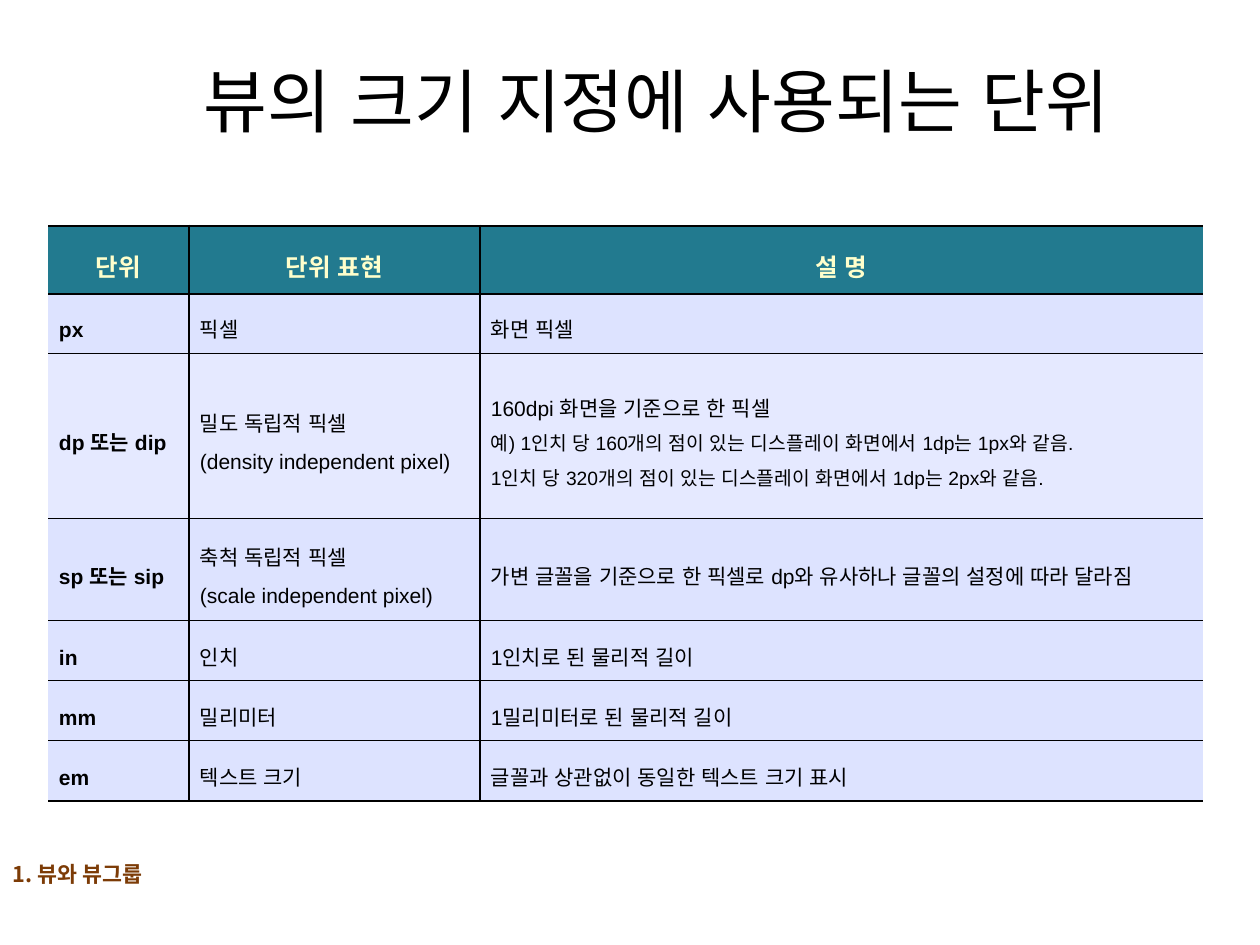
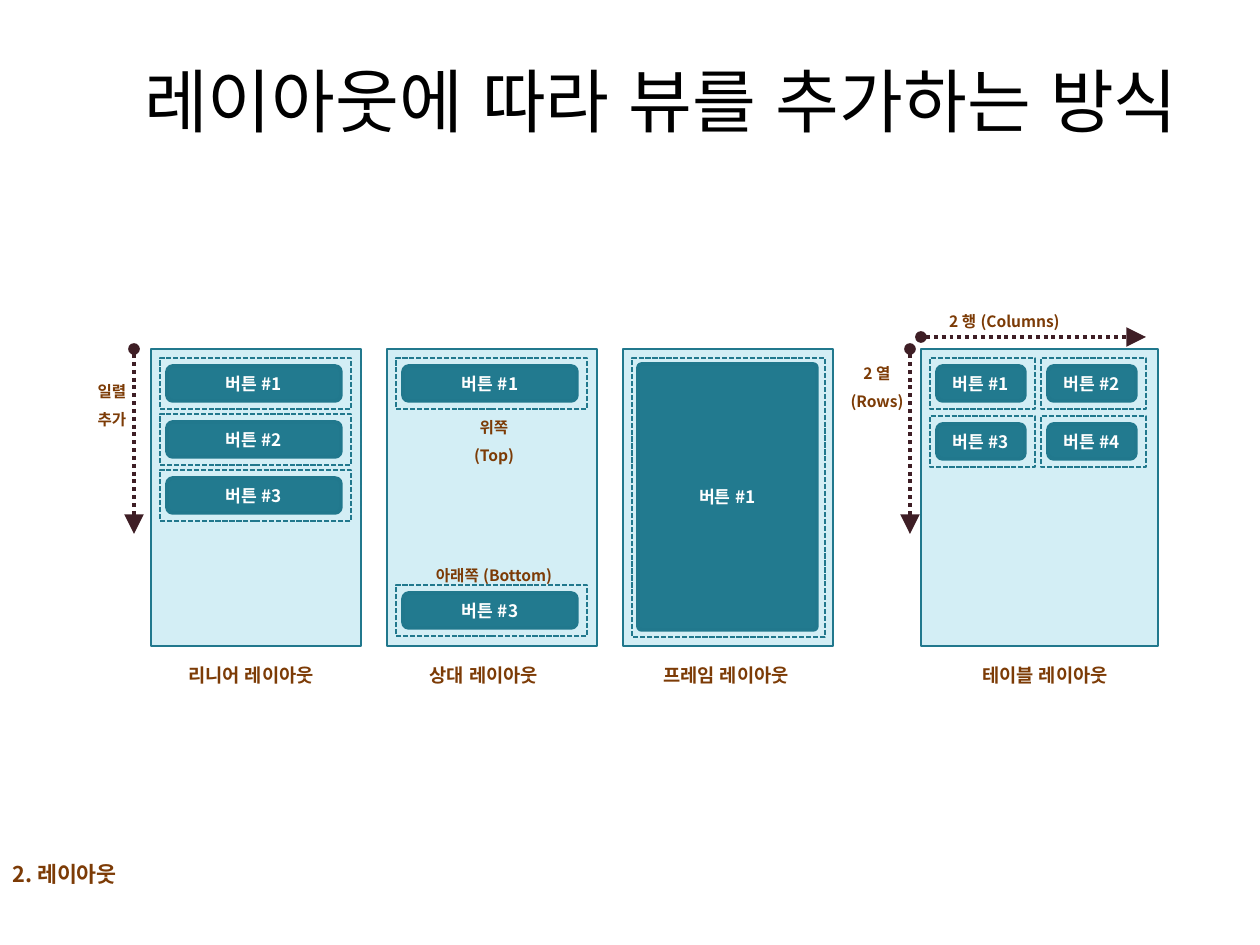
from lxml import etree
from pptx import Presentation
from pptx import util as u
from pptx.dml.color import RGBColor
from pptx.enum import dml, shapes, text
from pptx.oxml.ns import qn

PX = 7257  # EMU in one pixel, 126 pixels to the inch
rgb = RGBColor.from_string

SANS, LATIN = "Noto Sans CJK KR", "Arial"
BLACK, WHITE, BROWN = "000000", "FFFFFF", "7C3B06"
TEAL, EDGE, PALE, ARROW = "227A8F", "21788D", "D3EEF5", "3E1E25"
CREAM, LILAC, LIGHT_LILAC = "FFFFCC", "DDE3FF", "E5E9FF"
CENTER, JUSTIFY = text.PP_ALIGN.CENTER, text.PP_ALIGN.JUSTIFY


def write(frame, lines, sizes, color, bold=True, font=SANS, align=CENTER, spacing=None):
    """Fill a text frame, one paragraph a line; the last size serves the rest."""
    frame.word_wrap = True
    for i, line in enumerate(lines):
        para = frame.paragraphs[0] if i == 0 else frame.add_paragraph()
        para.alignment = align
        para.line_spacing = spacing
        span = para.add_run()
        span.text = line
        span.font.size = u.Pt(sizes[min(i, len(sizes) - 1)])
        span.font.bold = bold
        span.font.color.rgb = rgb(color)
        span.font.name = font
        # Arial sets the width of the spaces between Korean words
        etree.SubElement(span._r.get_or_add_rPr(), qn("a:ea"), typeface=LATIN)


def add_block(page, kind, area, fill, width):
    """Add a filled preset shape with a teal edge."""
    block = page.shapes.add_shape(kind, *(n * PX for n in area))
    block.shadow.inherit = False
    block.fill.solid()
    block.fill.fore_color.rgb = rgb(fill)
    block.line.color.rgb = rgb(EDGE)
    block.line.width = u.Pt(width)
    return block


deck = Presentation()
deck.slide_width, deck.slide_height = u.Inches(10), u.Inches(7.5)

# Title and section name of both slides
pages = []
for heading, title_width, section in [
    ("뷰의 크기 지정에 사용되는 단위", 1110, "1. 뷰와 뷰그룹"),
    ("레이아웃에 따라 뷰를 추가하는 방식", 1119, "2. 레이아웃"),
]:
    page = deck.slides.add_slide(deck.slide_layouts[5])
    title = page.shapes.title
    title.left, title.top = 102 * PX, 77 * PX
    title.width, title.height = title_width * PX, 45 * PX
    title.text_frame.auto_size = text.MSO_AUTO_SIZE.NONE
    title.text_frame.vertical_anchor = text.MSO_ANCHOR.MIDDLE
    write(title.text_frame, [heading], [39.6], BLACK, bold=False)
    box = page.shapes.add_textbox(0, 842 * PX, 474 * PX, 53 * PX)
    write(box.text_frame, [section], [12.4], BROWN, align=text.PP_ALIGN.LEFT, spacing=1.5)
    pages.append(page)
units_page, layouts_page = pages

# Slide 1: table of units
rows = [
    (["단위"], ["단위 표현"], ["설 명"]),
    (["px"], ["픽셀"], ["화면 픽셀"]),
    (["dp 또는 dip"], ["밀도 독립적 픽셀", "(density independent pixel)"],
     ["160dpi 화면을 기준으로 한 픽셀",
      "예) 1인치 당 160개의 점이 있는 디스플레이 화면에서 1dp는 1px와 같음.",
      "1인치 당 320개의 점이 있는 디스플레이 화면에서 1dp는 2px와 같음."]),
    (["sp 또는 sip"], ["축척 독립적 픽셀", "(scale independent pixel)"],
     ["가변 글꼴을 기준으로 한 픽셀로 dp와 유사하나 글꼴의 설정에 따라 달라짐"]),
    (["in"], ["인치"], ["1인치로 된 물리적 길이"]),
    (["mm"], ["밀리미터"], ["1밀리미터로 된 물리적 길이"]),
    (["em"], ["텍스트 크기"], ["글꼴과 상관없이 동일한 텍스트 크기 표시"]),
]
col_widths = [141, 291, 723]
row_heights = [68, 59, 166, 102, 60, 60, 60]
rules = [1.7, 1.41] + [0.56] * 5 + [1.41]  # horizontal rules, top to bottom
table = units_page.shapes.add_table(
    len(rows), len(col_widths), 48 * PX, 226 * PX,
    sum(col_widths) * PX, sum(row_heights) * PX).table
table.first_row = table.horz_banding = False
for column, width in zip(table.columns, col_widths):
    column.width = width * PX
for r, row in enumerate(rows):
    table.rows[r].height = row_heights[r] * PX
    header = r == 0
    upright = 1.7 if header else 1.41
    for c, lines in enumerate(row):
        cell = table.cell(r, c)
        cell.margin_left = cell.margin_right = 11 * PX
        cell.margin_top = cell.margin_bottom = 5 * PX
        cell.vertical_anchor = text.MSO_ANCHOR.MIDDLE
        cell.fill.solid()
        cell.fill.fore_color.rgb = rgb(TEAL if header else LIGHT_LILAC if r == 2 else LILAC)
        write(cell.text_frame, lines, [14] if header else [12, 11] if c == 2 else [12],
              CREAM if header else BLACK, bold=header or c == 0, font=LATIN,
              align=CENTER if header else JUSTIFY, spacing=1.6)
        # The outer left and right sides stay open
        sides = [("a:lnL", upright if c > 0 else 0), ("a:lnR", upright if c < 2 else 0),
                 ("a:lnT", rules[r]), ("a:lnB", rules[r + 1])]
        props = cell._tc.get_or_add_tcPr()
        for place, (side, points) in enumerate(sides):
            border = etree.Element(qn(side), w=str(int(u.Pt(points))))
            props.insert(place, border)
            if points:
                paint = etree.SubElement(border, qn("a:solidFill"))
                etree.SubElement(paint, qn("a:srgbClr"), val=BLACK)
            else:
                etree.SubElement(border, qn("a:noFill"))

# Slide 2: each layout is a panel with its caption and slots (x, y, w, h, button name)
RECT, ROUND = shapes.MSO_SHAPE.RECTANGLE, shapes.MSO_SHAPE.ROUNDED_RECTANGLE
PANEL_TOP, PANEL_HEIGHT = 349, 297
layouts = [
    (151, 210, "리니어 레이아웃", 145,
     [(9, 9 + 56 * i, 191, 51, f"버튼 #{i + 1}") for i in range(3)]),
    (387, 210, "상대 레이아웃", 378,
     [(9, 9, 191, 51, "버튼 #1"), (9, 236, 191, 51, "버튼 #3")]),
    (623, 210, "프레임 레이아웃", 620, [(9, 9, 193, 279, "버튼 #1")]),
    (921, 237, "테이블 레이아웃", 939,
     [(9 + 111 * (i % 2), 9 + 58 * (i // 2), 105, 51, f"버튼 #{i + 1}") for i in range(4)]),
]
labels = [  # x, y, w, h, size, lines
    (446, 402, 96, 42, 8.9, ["위쪽 (Top)"]),
    (418, 550, 152, 42, 8.9, ["아래쪽 (Bottom)"]),
    (930, 296, 149, 42, 8.9, ["2 행 (Columns)"]),
    (816, 348, 122, 69, 8.9, ["2 열", "(Rows)"]),
    (64, 366, 96, 69, 8.9, ["일렬", "추가"]),
]
for left, width, caption, caption_left, slots in layouts:
    add_block(layouts_page, RECT, (left, PANEL_TOP, width, PANEL_HEIGHT), PALE, 1.5)
    labels.append((caption_left, 646, 212, 47, 10.7, [caption]))
    for x, y, w, h, name in slots:
        x, y = left + x, PANEL_TOP + y
        slot = add_block(layouts_page, RECT, (x, y, w, h), PALE, 1)
        slot.line.dash_style = dml.MSO_LINE.SQUARE_DOT
        tall = h > 100
        dx, dy, trim = (6, 6, 14) if tall else (7, 8, 17)
        button = add_block(layouts_page, ROUND, (x + dx, y + dy, w - trim, h - trim + 1), TEAL, 2)
        if tall:
            button.adjustments[0] = 0.02
        button.text_frame.vertical_anchor = text.MSO_ANCHOR.MIDDLE
        write(button.text_frame, [name], [9.8], WHITE)

# Dotted arrows for the direction of filling
for x1, y1, x2, y2 in [(134, 349, 134, 534), (910, 349, 910, 534), (921, 337, 1146, 337)]:
    arrow = layouts_page.shapes.add_connector(
        shapes.MSO_CONNECTOR.STRAIGHT, x1 * PX, y1 * PX, x2 * PX, y2 * PX)
    arrow.line.color.rgb = rgb(ARROW)
    arrow.line.width = u.Pt(2.25)
    arrow.line.dash_style = dml.MSO_LINE.ROUND_DOT
    line = arrow.line._get_or_add_ln()
    etree.SubElement(line, qn("a:headEnd"), type="oval")
    etree.SubElement(line, qn("a:tailEnd"), type="triangle", w="lg", len="lg")
    etree.SubElement(arrow._element.spPr, qn("a:effectLst"))

# Labels and captions
for x, y, w, h, size, lines in labels:
    box = layouts_page.shapes.add_textbox(x * PX, y * PX, w * PX, h * PX)
    write(box.text_frame, lines, [size], BROWN, spacing=1.5)

deck.save("out.pptx")
